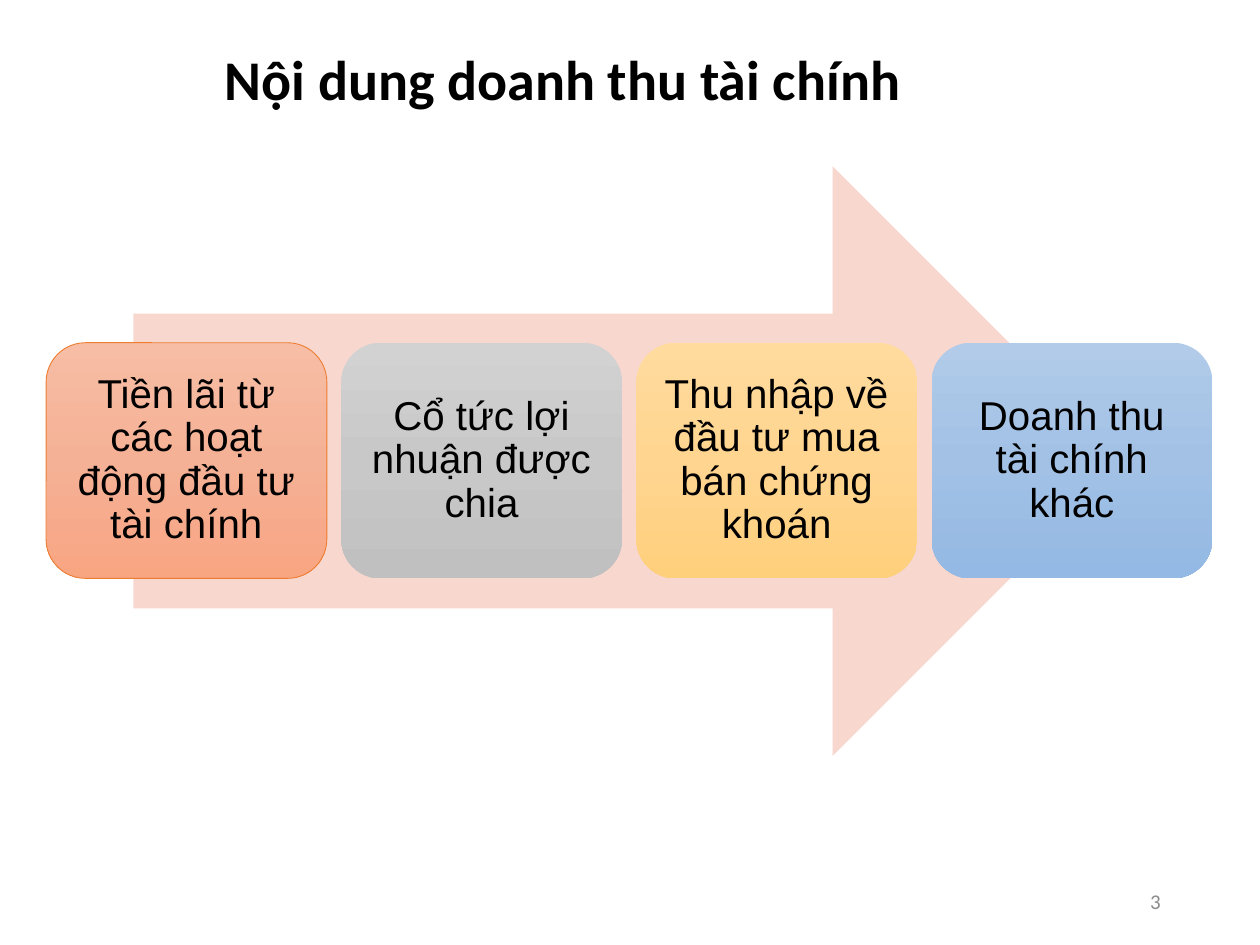
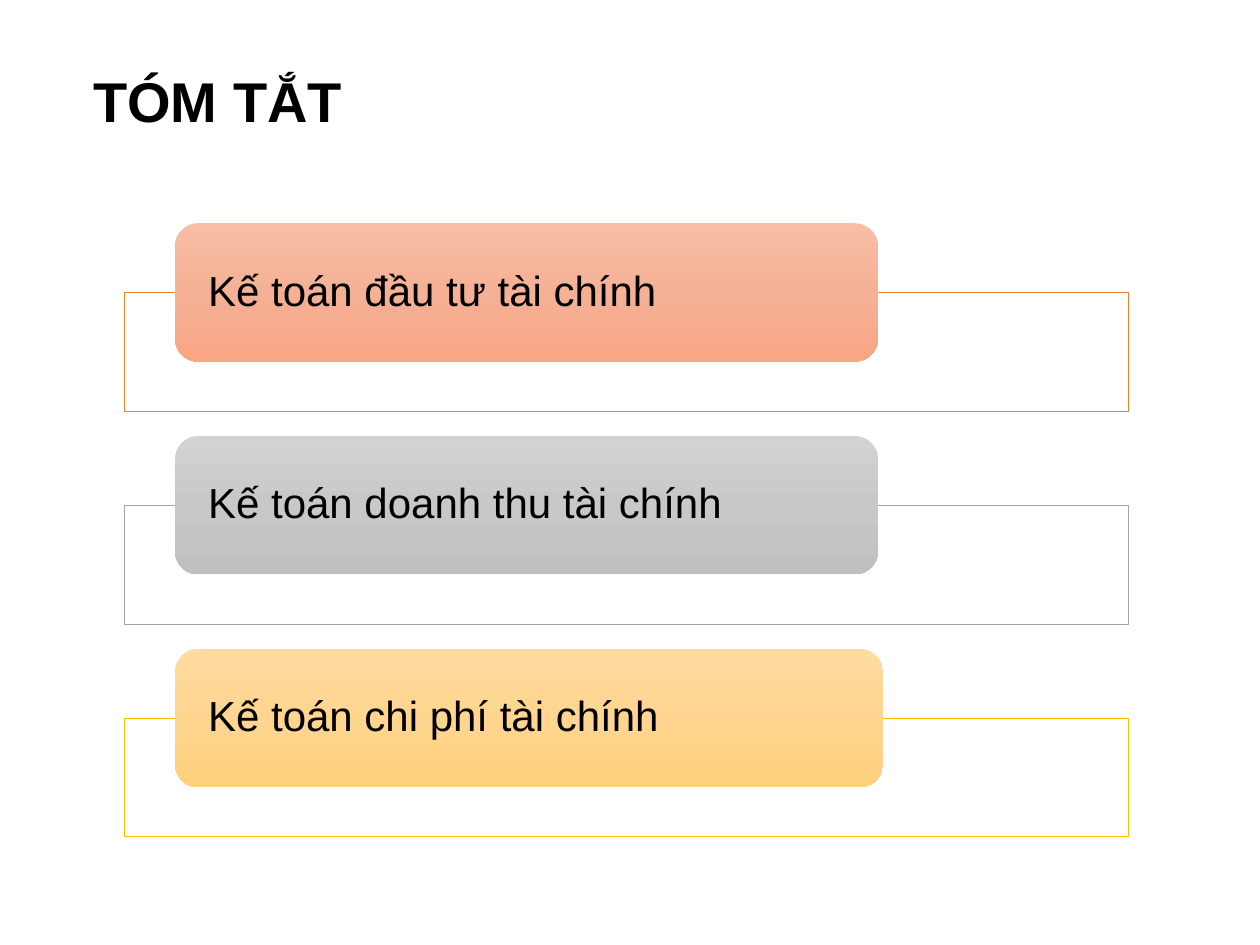
from copy import deepcopy
from dataclasses import dataclass
from typing import Any, Optional

from lxml.etree import SubElement
from pptx import Presentation
from pptx.dml.color import RGBColor
from pptx.enum.shapes import MSO_SHAPE
from pptx.enum.text import MSO_ANCHOR, PP_ALIGN
from pptx.oxml.ns import qn
from pptx.util import Cm, Pt


@dataclass(frozen=True)
class Tone:
    top: str
    mid: str
    base: str
    line: str


@dataclass(frozen=True)
class Theme:
    ink: str = "000000"
    pale: str = "8C8C8C"
    paper: str = "FFFFFF"
    arrow: str = "F8D7CE"
    sans: str = "Arial"
    head: str = "Calibri"
    title: int = 32
    step: int = 23
    bar: int = 24
    note: int = 12
    edge: float = 0.5
    rust: Tone = Tone("F7BDA5", "F5B196", "F8A582", "ED7D31")
    grey: Tone = Tone("D2D2D2", "C8C8C8", "C0C0C0", "A5A5A5")
    gold: Tone = Tone("FFDB9E", "FFD590", "FFD07C", "FFC000")
    blue: Tone = Tone("B1CBE9", "A3C1E5", "93B9E4", "5B9BD5")


@dataclass(frozen=True)
class Box:
    left: float
    top: float
    wide: float
    high: float

    def cm(self) -> tuple:
        return Cm(self.left), Cm(self.top), Cm(self.wide), Cm(self.high)


@dataclass(frozen=True)
class Card:
    text: str
    tone: Tone
    wide: float
    edged: bool = False


THEME = Theme()
STEPS = (
    Card("Tiền lãi từ các hoạt động đầu tư tài chính", THEME.rust, 5.66, True),
    Card("Cổ tức lợi nhuận được chia", THEME.grey, 5.66),
    Card("Thu nhập về đầu tư mua bán chứng khoán", THEME.gold, 5.66),
    Card("Doanh thu tài chính khác", THEME.blue, 5.66),
)
BARS = (
    Card("Kế toán đầu tư tài chính", THEME.rust, 14.17),
    Card("Kế toán doanh thu tài chính", THEME.grey, 14.17),
    Card("Kế toán chi phí tài chính", THEME.gold, 14.27),
)


def apply(thing: Any, form: dict) -> None:
    for key, value in form.items():
        setattr(thing, key, value)


def write(shape: Any, text: str, font: dict, frame: dict, para: dict,
          ink: str = THEME.ink) -> None:
    body = shape.text_frame
    apply(body, {"word_wrap": True, **frame})
    line = body.paragraphs[0]
    apply(line, para)
    run = line.add_run()
    run.text = text
    apply(run.font, font)
    run.font.color.rgb = RGBColor.from_string(ink)


def label(slide: Any, box: Box, text: str, font: dict, frame: dict,
          para: dict, ink: str = THEME.ink) -> None:
    write(slide.shapes.add_textbox(*box.cm()), text, font, frame, para, ink)


def title(slide: Any, box: Box, text: str, face: str, anchor: Any,
          para: dict) -> None:
    font = {"name": face, "size": Pt(THEME.title), "bold": True}
    label(slide, box, text, font, {"vertical_anchor": anchor}, para)


def draw(slide: Any, kind: Any, box: Box, fill: Optional[str] = None,
         edge: Optional[str] = None) -> Any:
    shape = slide.shapes.add_shape(kind, *box.cm())
    shape.shadow.inherit = False
    if fill:
        shape.fill.solid()
        shape.fill.fore_color.rgb = RGBColor.from_string(fill)
    if edge:
        shape.line.color.rgb = RGBColor.from_string(edge)
        shape.line.width = Pt(THEME.edge)
    else:
        shape.line.fill.background()
    return shape


def shade(shape: Any, tone: Tone) -> None:
    fill = shape.fill
    fill.gradient()
    fill.gradient_angle = 270
    stops = shape._element.spPr.find(".//" + qn("a:gsLst"))
    stops.insert(1, deepcopy(stops[0]))
    hues = (tone.top, tone.mid, tone.base)
    for stop, hue, place in zip(fill.gradient_stops, hues, (0, 0.5, 1)):
        stop.color.rgb = RGBColor.from_string(hue)
        stop.position = place


def panel(slide: Any, box: Box, card: Card, size: int, pad: tuple,
          align: Any) -> None:
    edge = card.tone.line if card.edged else None
    shape = draw(slide, MSO_SHAPE.ROUNDED_RECTANGLE, box, edge=edge)
    shade(shape, card.tone)
    side, rise = Cm(pad[0]), Cm(pad[1])
    frame = {
        "margin_left": side, "margin_right": side,
        "margin_top": rise, "margin_bottom": rise,
        "vertical_anchor": MSO_ANCHOR.MIDDLE,
    }
    write(shape, card.text, {"name": THEME.sans, "size": Pt(size)}, frame,
          {"alignment": align, "line_spacing": 0.9})


def income(slide: Any) -> None:
    title(slide, Box(0.4, 0.08, 21.9, 3.15), "Nội dung doanh thu tài chính",
          THEME.head, MSO_ANCHOR.MIDDLE,
          {"alignment": PP_ALIGN.CENTER, "line_spacing": 0.9})
    label(slide, Box(17.93, 17.65, 5.72, 1.02), "3",
          {"name": THEME.head, "size": Pt(THEME.note)},
          {"vertical_anchor": MSO_ANCHOR.MIDDLE},
          {"alignment": PP_ALIGN.RIGHT}, THEME.pale)
    draw(slide, MSO_SHAPE.RIGHT_ARROW, Box(2.69, 3.35, 20.04, 11.89),
         THEME.arrow)
    for rank, card in enumerate(STEPS):
        box = Box(0.93 + rank * 5.95, 6.91, card.wide, 4.75)
        panel(slide, box, card, THEME.step, (0.25, 0.25), PP_ALIGN.CENTER)


def recap(slide: Any) -> None:
    title(slide, Box(1.63, 1.22, 12.65, 1.63), "TÓM TẮT", THEME.sans,
          MSO_ANCHOR.TOP, {"alignment": PP_ALIGN.LEFT})
    for rank, card in enumerate(BARS):
        top = 4.5 + rank * 4.29
        frame = draw(slide, MSO_SHAPE.RECTANGLE,
                     Box(2.51, top + 1.4, 20.24, 2.39), THEME.paper,
                     card.tone.line)
        hue = frame._element.spPr.find(qn("a:solidFill"))[0]
        SubElement(hue, qn("a:alpha"), val="90000")
        panel(slide, Box(3.53, top, card.wide, 2.79), card, THEME.bar,
              (0.53, 0), PP_ALIGN.LEFT)


def main() -> None:
    deck = Presentation()
    apply(deck, {"slide_width": Cm(25.4), "slide_height": Cm(19.05)})
    for build in (income, recap):
        build(deck.slides.add_slide(deck.slide_layouts[6]))
    deck.save("out.pptx")


if __name__ == "__main__":
    main()
